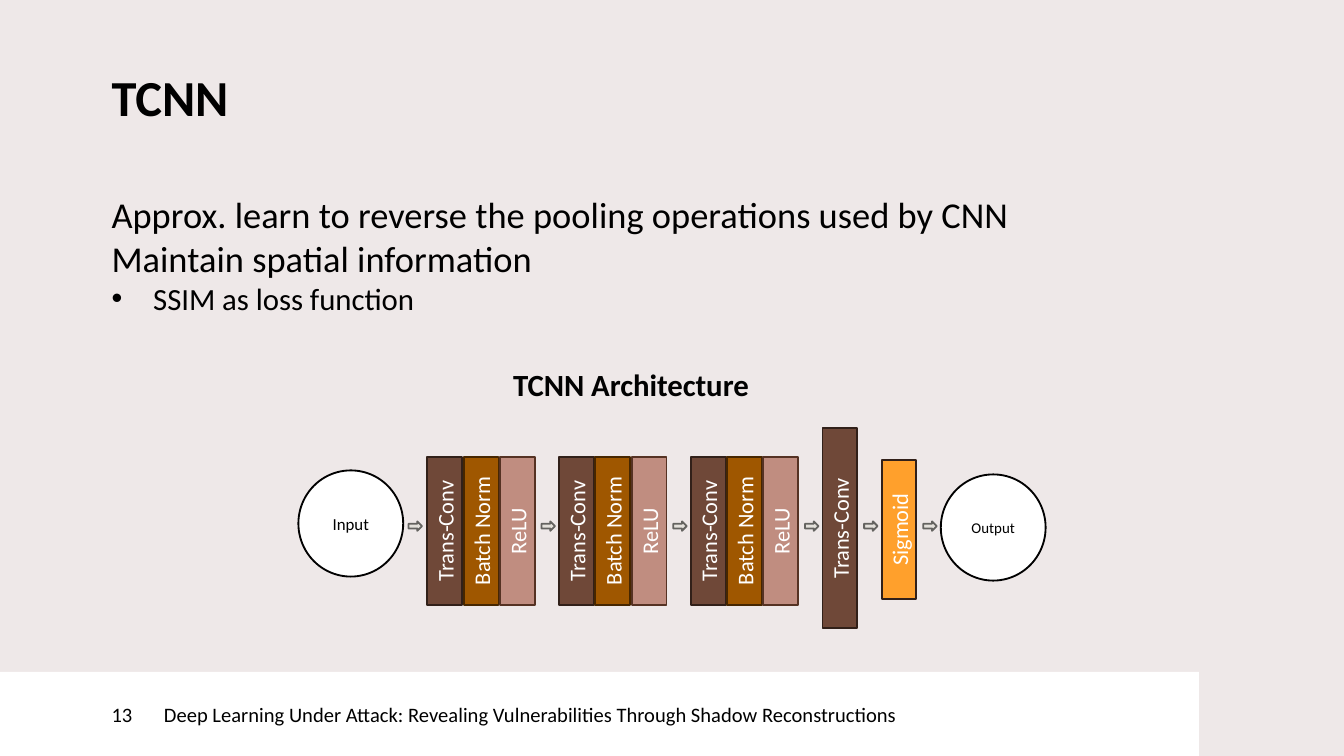
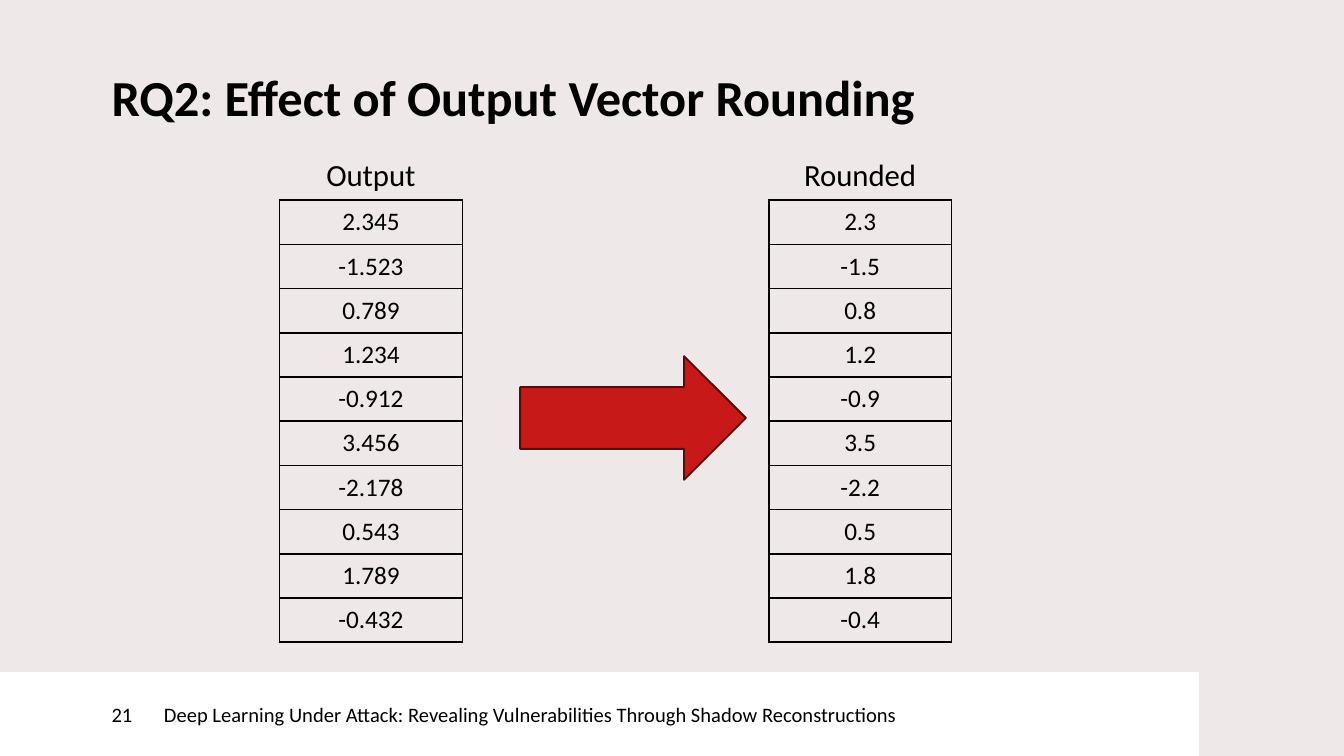
from lxml.etree import SubElement
from pptx import Presentation
from pptx.dml.color import RGBColor
from pptx.enum.shapes import MSO_SHAPE
from pptx.enum.text import MSO_ANCHOR, MSO_AUTO_SIZE, PP_ALIGN
from pptx.oxml.ns import qn
from pptx.util import Inches, Pt

COLORS = {
    "background": "EEE8E8",
    "white": "FFFFFF",
    "black": "000000",
    "ink": "010101",
    "brown": "6F4838",
    "brown_line": "312019",
    "ochre": "9F5700",
    "ochre_line": "462600",
    "rose": "C08D80",
    "rose_line": "553223",
    "orange": "FFA02C",
    "step": "E4E1DB",
    "step_line": "646360",
    "red": "C81919",
    "red_line": "580B0B",
}
FONT = "Calibri"
FOOTER = "Deep Learning Under Attack: Revealing Vulnerabilities Through Shadow Reconstructions"
TITLE_BOX = (0.83, 0.57, 8.26, 0.59)
BODY_BOX = (0.83, 1.43, 8.26, 1.1)
FRAME_FORMAT = {
    "word_wrap": True,
    "auto_size": MSO_AUTO_SIZE.NONE,
    "margin_left": 0,
    "margin_top": 0,
    "margin_right": 0,
    "margin_bottom": 0,
}


def write_text(frame, lines, size, color="black", bold=False,
               align=PP_ALIGN.LEFT, anchor=MSO_ANCHOR.TOP):
    """Fill a text frame with one paragraph per line."""
    frame.text = "\n".join(lines)
    for name, value in {**FRAME_FORMAT, "vertical_anchor": anchor}.items():
        setattr(frame, name, value)
    for paragraph in frame.paragraphs:
        paragraph.alignment = align
        paragraph.space_before = Pt(0)
        font_format = {"name": FONT, "size": Pt(size), "bold": bold}
        for name, value in font_format.items():
            setattr(paragraph.runs[0].font, name, value)
        paragraph.runs[0].font.color.rgb = RGBColor.from_string(COLORS[color])


def add_block(slide, kind, box, fill, line=None, rotation=0):
    """Add a flat preset shape; box is left, top, width, height in inches."""
    shape = slide.shapes.add_shape(kind, *map(Inches, box))
    shape.shadow.inherit = False
    shape.rotation = rotation
    shape.fill.solid()
    shape.fill.fore_color.rgb = RGBColor.from_string(COLORS[fill])
    if line:
        shape.line.color.rgb = RGBColor.from_string(COLORS[line])
        shape.line.width = Pt(1)
    else:
        shape.line.fill.background()
    return shape


# Widescreen, 16:9
presentation = Presentation()
presentation.slide_width = Inches(10)
presentation.slide_height = Inches(10 * 9 / 16)

# Shared background, title and footer
slides = []
for layout, title, number in [
    (1, "TCNN", "13"),
    (5, "RQ2: Effect of Output Vector Rounding", "21"),
]:
    slide = presentation.slides.add_slide(presentation.slide_layouts[layout])
    slide.background.fill.solid()
    slide.background.fill.fore_color.rgb = RGBColor.from_string(COLORS["background"])

    heading = slide.shapes.title
    heading.left, heading.top, heading.width, heading.height = map(Inches, TITLE_BOX)
    write_text(heading.text_frame, [title], 27, bold=True)
    heading.text_frame.paragraphs[0].line_spacing = Pt(27)

    for left, width, text, margin in [(1.22, 7.7, FOOTER, 0), (0, 1.22, number, 0.83)]:
        band = add_block(slide, MSO_SHAPE.RECTANGLE, (left, 5, width, 0.63), "white")
        write_text(band.text_frame, [text], 11, anchor=MSO_ANCHOR.MIDDLE)
        band.text_frame.margin_left = Inches(margin)
    slides.append(slide)

network_slide, rounding_slide = slides

# TCNN: body list
body = network_slide.placeholders[1]
body.left, body.top, body.width, body.height = map(Inches, BODY_BOX)
write_text(body.text_frame, [
    "Approx. learn to reverse the pooling operations used by CNN",
    "Maintain spatial information",
    "SSIM as loss function",
], 19.5)
*plain_paragraphs, bullet_paragraph = body.text_frame.paragraphs
for paragraph in plain_paragraphs:
    properties = paragraph._p.get_or_add_pPr()
    properties.set("marL", "0")
    properties.set("indent", "0")
    SubElement(properties, qn("a:buNone"))
bullet_paragraph.runs[0].font.size = Pt(16.5)
properties = bullet_paragraph._p.get_or_add_pPr()
properties.set("marL", str(Inches(0.31)))
properties.set("indent", str(-Inches(0.31)))
SubElement(properties, qn("a:buFont")).set("typeface", "Arial")
SubElement(properties, qn("a:buChar")).set("char", "•")

# TCNN: upright layers as label, centre x, centre y, length, thickness, fill, line
stage = [
    ("Trans-Conv", "brown", "brown_line"),
    ("Batch Norm", "ochre", "ochre_line"),
    ("ReLU", "rose", "rose_line"),
]
layers = [
    (label, 3.31 + 0.98 * group + 0.27 * position, 3.95, 1.1, 0.26, fill, line)
    for group in range(3)
    for position, (label, fill, line) in enumerate(stage)
]
layers += [
    ("Trans-Conv", 6.25, 3.93, 1.49, 0.26, "brown", "brown_line"),
    ("Sigmoid", 6.69, 3.94, 1.03, 0.25, "orange", "brown_line"),
]
for label, center_x, center_y, length, thickness, fill, line in layers:
    box = (center_x - length / 2, center_y - thickness / 2, length, thickness)
    layer = add_block(network_slide, MSO_SHAPE.RECTANGLE, box, fill, line, 270)
    write_text(layer.text_frame, [label], 12, "white",
               align=PP_ALIGN.CENTER, anchor=MSO_ANCHOR.MIDDLE)

# TCNN: end points and steps between the stages
for label, left, top, size in [("Input", 2.22, 3.5, 9), ("Output", 7, 3.53, 8)]:
    circle = add_block(network_slide, MSO_SHAPE.OVAL, (left, top, 0.78, 0.79), "white", "ink")
    write_text(circle.text_frame, [label], size, "ink",
               align=PP_ALIGN.CENTER, anchor=MSO_ANCHOR.MIDDLE)
for left in (3.04, 4.03, 5.01, 5.99, 6.43, 6.87):
    add_block(network_slide, MSO_SHAPE.RIGHT_ARROW, (left, 3.88, 0.1, 0.07), "step", "step_line")

# Rounding: one column of values on each side of the arrow
columns = [
    (2.08, ["2.345", "-1.523", "0.789", "1.234", "-0.912",
            "3.456", "-2.178", "0.543", "1.789", "-0.432"]),
    (5.72, ["2.3", "-1.5", "0.8", "1.2", "-0.9",
            "3.5", "-2.2", "0.5", "1.8", "-0.4"]),
]
for left, values in columns:
    table = rounding_slide.shapes.add_table(
        len(values), 1, *map(Inches, (left, 1.49, 1.36, 3.25))).table
    table.first_row = False
    table.horz_banding = False
    for row, value in enumerate(values):
        cell = table.cell(row, 0)
        cell.text = value
        paragraph = cell.text_frame.paragraphs[0]
        paragraph.alignment = PP_ALIGN.CENTER
        font = paragraph.runs[0].font
        for name, setting in {"name": FONT, "size": Pt(13.5)}.items():
            setattr(font, name, setting)
        font.color.rgb = RGBColor.from_string(COLORS["black"])
        for side in ("a:lnL", "a:lnR", "a:lnT", "a:lnB"):
            border = SubElement(cell._tc.get_or_add_tcPr(), qn(side), w=str(Pt(1)))
            border_fill = SubElement(border, qn("a:solidFill"))
            SubElement(border_fill, qn("a:srgbClr"), val=COLORS["black"])
        cell.fill.background()

add_block(rounding_slide, MSO_SHAPE.RIGHT_ARROW, (3.87, 2.65, 1.68, 0.92), "red", "red_line")

# Captions above the network and the two columns
for slide, text, box, color, bold in [
    (network_slide, "TCNN Architecture", (3.55, 2.67, 2.29, 0.36), "ink", True),
    (rounding_slide, "Output", (2.08, 1.11, 1.36, 0.38), "black", False),
    (rounding_slide, "Rounded", (5.72, 1.11, 1.36, 0.38), "black", False),
]:
    caption = slide.shapes.add_textbox(*map(Inches, box))
    write_text(caption.text_frame, [text], 16.5, color, bold, PP_ALIGN.CENTER)
    caption.text_frame.margin_top = Inches(0.05)

presentation.save("out.pptx")
